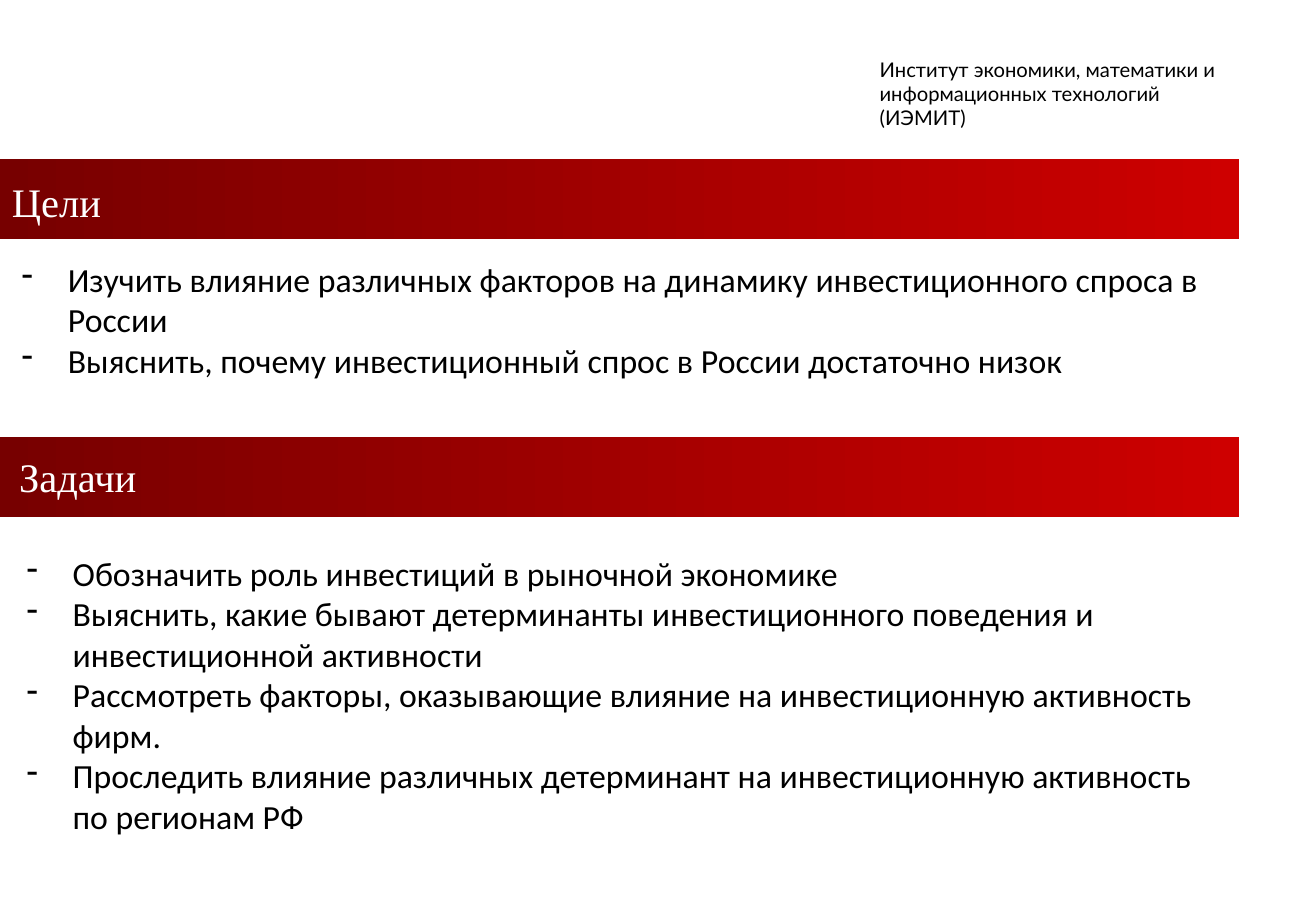
from pptx import Presentation
from pptx.dml.color import RGBColor
from pptx.enum.shapes import MSO_SHAPE as SHAPE
from pptx.enum.text import MSO_ANCHOR as ANCHOR
from pptx.oxml.xmlchemy import OxmlElement as Element
from pptx.util import Inches, Pt

WIDTH, HEIGHT = 10.83, 7.5
BAND_W, BAND_H = 10.2, 0.66
INDENT = 0.38
HEADING = {"name": "Times New Roman", "size": Pt(24)}
BODY = {"name": "Calibri", "size": Pt(20)}
CAPTION = {"name": "Lato", "size": Pt(12)}

INSTITUTE = "Институт экономики, математики и информационных технологий (ИЭМИТ)"
GOALS = [
    "Изучить влияние различных факторов на динамику инвестиционного спроса в России",
    "Выяснить, почему инвестиционный спрос в России достаточно низок",
]
TASKS = [
    "Обозначить роль инвестиций в рыночной экономике",
    "Выяснить, какие бывают детерминанты инвестиционного поведения и инвестиционной активности",
    "Рассмотреть факторы, оказывающие влияние на инвестиционную активность фирм.",
    "Проследить влияние различных детерминант на инвестиционную активность по регионам РФ",
]


def color(value):
    return RGBColor.from_string(value)


def add_dash(p):
    pPr = p._p.get_or_add_pPr()
    pPr.set("marL", str(Inches(INDENT)))
    pPr.set("indent", str(-Inches(INDENT)))
    bullet = Element("a:buChar")
    bullet.set("char", "-")
    pPr.append(bullet)


def add_text(slide, box, lines, font, ink="000000", dashed=False):
    tf = slide.shapes.add_textbox(*map(Inches, box)).text_frame
    tf.word_wrap = True
    tf.vertical_anchor = ANCHOR.TOP
    for i, line in enumerate(lines):
        p = tf.paragraphs[0] if i == 0 else tf.add_paragraph()
        r = p.add_run()
        r.text = line
        for key, value in font.items():
            setattr(r.font, key, value)
        r.font.color.rgb = color(ink)
        if dashed:
            add_dash(p)


def add_band(slide, top, title, dx, dy):
    sp = slide.shapes.add_shape(
        SHAPE.RECTANGLE, 0, Inches(top), Inches(BAND_W), Inches(BAND_H))
    sp.shadow.inherit = False
    sp.line.fill.background()
    sp.fill.gradient()
    sp.fill.gradient_angle = 0
    for stop, shade in zip(sp.fill.gradient_stops, ("770000", "CE0000")):
        stop.color.rgb = color(shade)
    add_text(slide, (dx, top + dy, BAND_W - dx, 0.5), [title], HEADING, "FFFFFF")


def add_section(slide, top, title, title_offset, items, box):
    add_band(slide, top, title, *title_offset)
    left, dy, width, height = box
    add_text(slide, (left, top + dy, width, height), items, BODY, dashed=True)


def main():
    prs = Presentation()
    prs.slide_width, prs.slide_height = Inches(WIDTH), Inches(HEIGHT)
    slide = prs.slides.add_slide(prs.slide_layouts[6])
    add_text(slide, (7.14, 0.42, 3.05, 0.7), [INSTITUTE], CAPTION)
    add_section(slide, 1.31, "Цели", (0, 0.1), GOALS, (0.08, 0.77, 10.18, 1.35))
    add_section(slide, 3.6, "Задачи", (0.06, 0.07), TASKS, (0.12, 0.9, 9.9, 3))
    prs.save("out.pptx")


if __name__ == "__main__":
    main()
